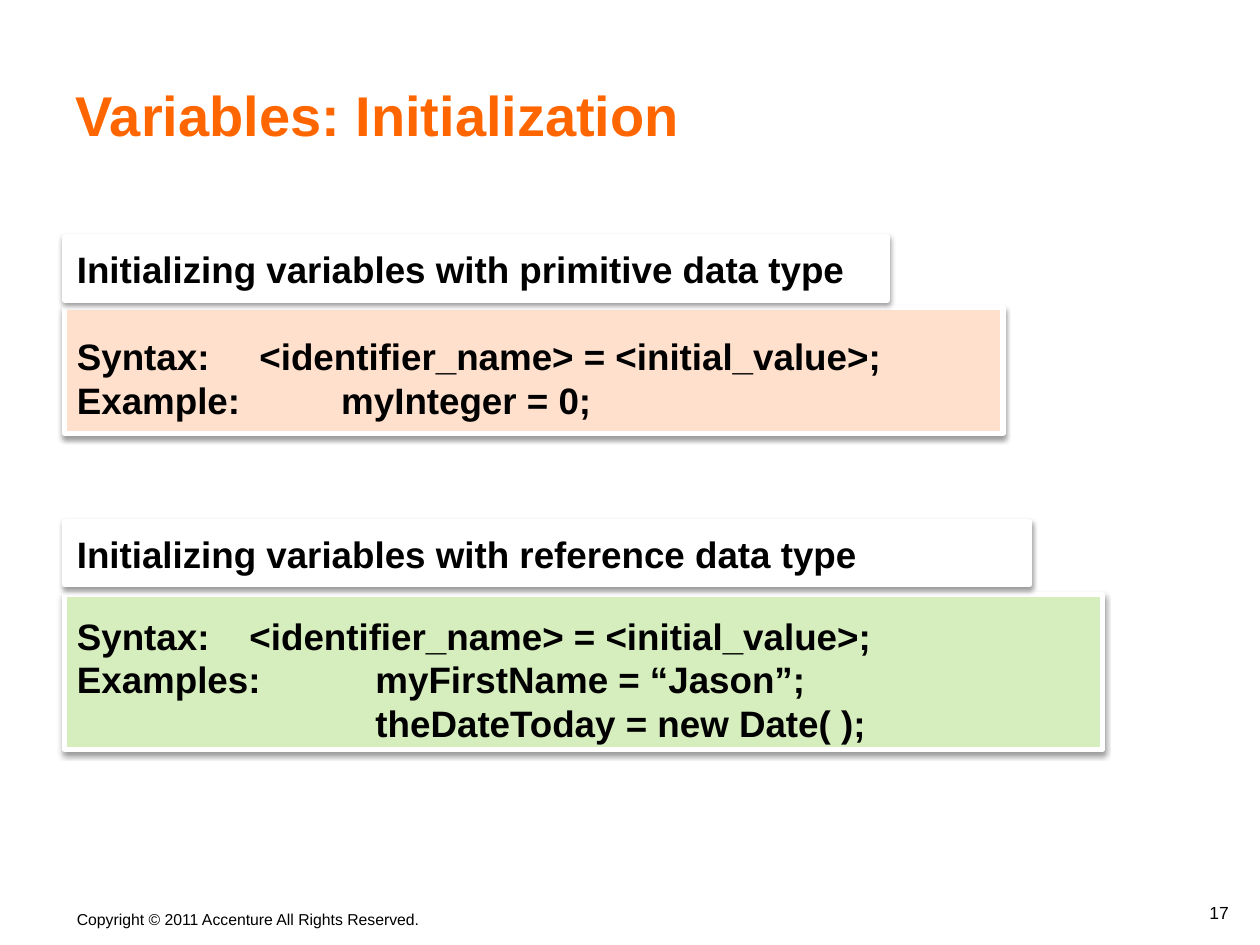
from lxml.etree import SubElement
from pptx import Presentation
from pptx.dml.color import RGBColor
from pptx.enum.shapes import MSO_SHAPE
from pptx.enum.text import MSO_ANCHOR as Anchor, PP_ALIGN as Align
from pptx.oxml.ns import qn
from pptx.util import Cm, Pt

ORANGE = RGBColor(0xFF, 0x66, 0x00)
PEACH = RGBColor(0xFF, 0xE0, 0xCC)
GREEN = RGBColor(0xD6, 0xED, 0xBD)
WHITE = RGBColor(0xFF, 0xFF, 0xFF)
BLACK = RGBColor(0x00, 0x00, 0x00)

LEFT = 1.3
HEADING_HEIGHT = 1.27
HEADING_INSET = 0.3
CODE_INSET = 0.58


def add_text(paragraph, text, size, color=BLACK, bold=False):
    run = paragraph.add_run()
    run.text = text
    run.font.name = "Arial"
    run.font.size = Pt(size)
    run.font.bold = bold
    run.font.color.rgb = color


def add_tab_stop(paragraph, position):
    properties = paragraph._p.get_or_add_pPr()
    tab_list = SubElement(properties, qn("a:tabLst"))
    SubElement(tab_list, qn("a:tab"), pos=str(Cm(position)), algn="l")


def add_soft_shadow(shape):
    shape.shadow.inherit = False
    effects = shape._element.spPr.find(qn("a:effectLst"))
    shadow = SubElement(effects, qn("a:outerShdw"), blurRad=str(Pt(3.1)),
                        dist=str(Pt(1.6)), dir="5400000", rotWithShape="0")
    color = SubElement(shadow, qn("a:srgbClr"), val=str(BLACK))
    SubElement(color, qn("a:alpha"), val="38000")


def add_panel(group, top, width, height, fill, top_inset, lines):
    shape = group.shapes.add_shape(
        MSO_SHAPE.RECTANGLE, Cm(LEFT), Cm(top), Cm(width), Cm(height))
    shape.fill.solid()
    shape.fill.fore_color.rgb = fill
    shape.line.color.rgb = WHITE
    shape.line.width = Pt(3)
    add_soft_shadow(shape)
    frame = shape.text_frame
    frame.word_wrap = True
    frame.vertical_anchor = Anchor.MIDDLE
    frame.margin_top = Cm(top_inset)
    for index, (text, tab_position) in enumerate(lines):
        paragraph = frame.add_paragraph() if index else frame.paragraphs[0]
        if tab_position:
            add_tab_stop(paragraph, tab_position)
        paragraph.alignment = Align.LEFT
        paragraph.line_spacing = 0.8
        paragraph.space_before = Pt(4.8 if index else 0)
        add_text(paragraph, text, 21, bold=True)


def add_section(slide, heading, heading_top, heading_width,
                code_top, code_width, code_height, fill, lines):
    group = slide.shapes.add_group_shape()
    add_panel(group, code_top, code_width, code_height, fill, CODE_INSET, lines)
    add_panel(group, heading_top, heading_width, HEADING_HEIGHT, WHITE,
              HEADING_INSET, [(heading, None)])


def add_title(slide, text):
    title = slide.shapes.title
    title.left, title.top = Cm(1.27), Cm(0.56)
    title.width, title.height = Cm(22.66), Cm(2.54)
    title.text_frame.vertical_anchor = Anchor.BOTTOM
    paragraph = title.text_frame.paragraphs[0]
    paragraph.alignment = Align.LEFT
    add_text(paragraph, text, 32, ORANGE, True)


def add_label(slide, left, top, width, height, text, size, alignment, anchor):
    box = slide.shapes.add_textbox(Cm(left), Cm(top), Cm(width), Cm(height))
    frame = box.text_frame
    frame.word_wrap = True
    frame.vertical_anchor = anchor
    paragraph = frame.paragraphs[0]
    paragraph.alignment = alignment
    add_text(paragraph, text, size)


def main():
    presentation = Presentation()
    presentation.slide_width = Cm(25.4)
    presentation.slide_height = Cm(19.05)
    slide = presentation.slides.add_slide(presentation.slide_layouts[5])
    add_title(slide, "Variables: Initialization")
    add_section(
        slide, "Initializing variables with primitive data type", 4.78, 16.59,
        6.2, 18.92, 2.54, PEACH,
        [("Syntax:\t<identifier_name> = <initial_value>;", 3.68),
         ("Example:\tmyInteger = 0;", 5.33)])
    add_section(
        slide, "Initializing variables with reference data type", 10.52, 19.46,
        11.99, 20.93, 3.12, GREEN,
        [("Syntax:\t<identifier_name> = <initial_value>;", 3.48),
         ("Examples:\tmyFirstName = “Jason”;", 6.02),
         ("\ttheDateToday = new Date( );", 6.02)])
    add_label(slide, LEFT, 18.21, 7.9, 0.64,
              "Copyright © 2011 Accenture All Rights Reserved.",
              9, Align.LEFT, Anchor.TOP)
    add_label(slide, 20.32, 17.98, 4.7, 0.76, "17", 10,
              Align.RIGHT, Anchor.BOTTOM)
    presentation.save("out.pptx")


if __name__ == "__main__":
    main()
